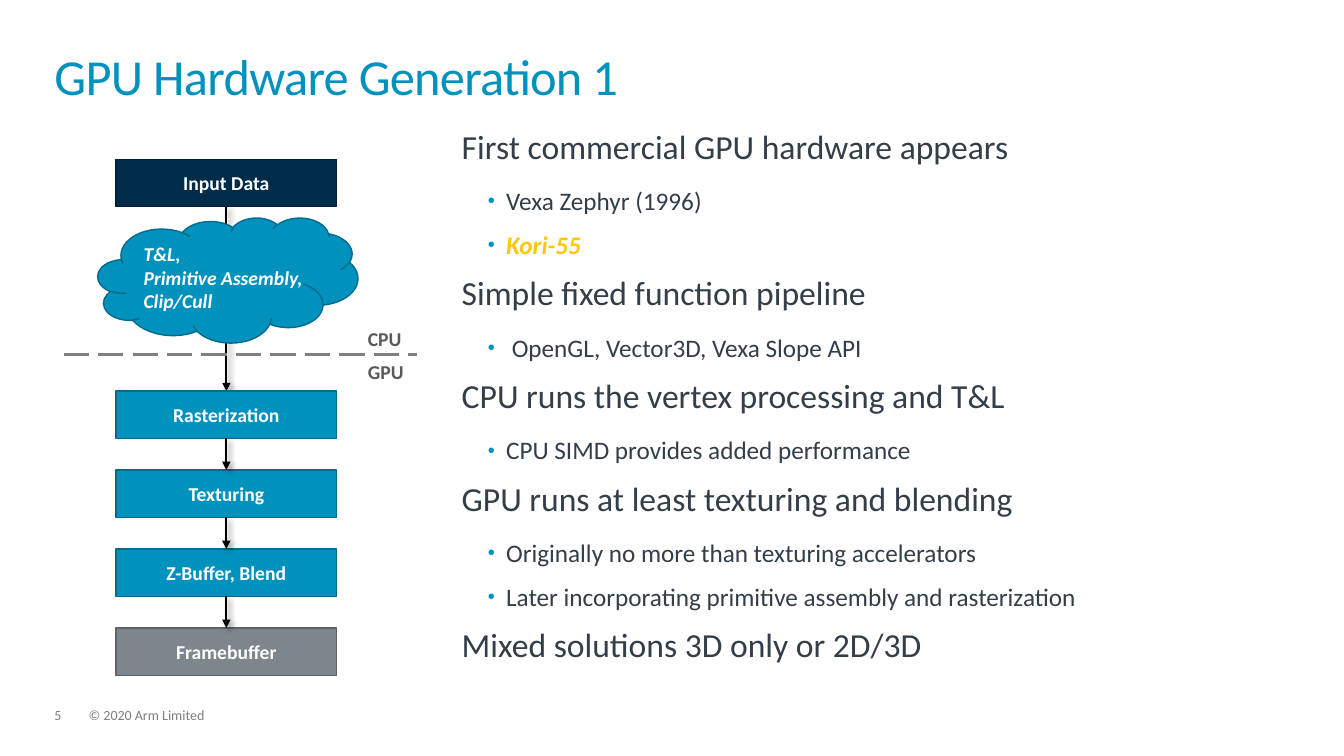
from dataclasses import dataclass

import pptx
import pptx.dml.color
import pptx.enum.dml
import pptx.enum.shapes
import pptx.enum.text
import pptx.oxml
import pptx.oxml.ns
import pptx.util
from pptx.util import Inches


@dataclass(frozen=True)
class Theme:
    font: str = "Calibri"
    blue: str = "0091BD"
    blue_edge: str = "006B8C"
    navy: str = "002B49"
    navy_edge: str = "002036"
    gray: str = "7D868C"
    gray_edge: str = "5C6368"
    body: str = "333E48"
    accent: str = "FFC700"
    footer: str = "7F7F7F"
    label: str = "595959"
    divider: str = "808080"
    white: str = "FFFFFF"
    black: str = "000000"
    title_size: int = 36
    topic_size: int = 24
    detail_size: int = 18
    diagram_size: int = 14
    footer_size: int = 10


THEME = Theme()
ANCHOR = pptx.enum.text.MSO_ANCHOR
SHAPE = pptx.enum.shapes.MSO_SHAPE
BOX_LEFT, BOX_WIDTH, BOX_HEIGHT = 1.15, 2.19, 0.47
FLOW_X = BOX_LEFT + BOX_WIDTH / 2
INPUT_TOP, FIRST_STAGE_TOP, LAST_STAGE_TOP = 1.58, 3.88, 6.23
STAGES = [
    ("Rasterization", THEME.blue, THEME.blue_edge),
    ("Texturing", THEME.blue, THEME.blue_edge),
    ("Z-Buffer, Blend", THEME.blue, THEME.blue_edge),
    ("Framebuffer", THEME.gray, THEME.gray_edge),
]
HIGHLIGHT = "Kori-55"
TOPICS = [
    ("First commercial GPU hardware appears", ["Vexa Zephyr (1996)", HIGHLIGHT]),
    ("Simple fixed function pipeline", [" OpenGL, Vector3D, Vexa Slope API"]),
    ("CPU runs the vertex processing and T&L", ["CPU SIMD provides added performance"]),
    ("GPU runs at least texturing and blending", [
        "Originally no more than texturing accelerators",
        "Later incorporating primitive assembly and rasterization",
    ]),
    ("Mixed solutions 3D only or 2D/3D", []),
]


def rgb(color):
    return pptx.dml.color.RGBColor.from_string(color)


def style_paragraph(paragraph, size, color, bold=False, italic=False):
    font = paragraph.font
    font.name = THEME.font
    font.size = pptx.util.Pt(size)
    font.color.rgb = rgb(color)
    font.bold = bold
    font.italic = italic


def remove_margins(frame):
    frame.margin_left = frame.margin_right = 0
    frame.margin_top = frame.margin_bottom = 0


def add_xml(parent, xml):
    namespace = pptx.oxml.ns.nsdecls("a")
    parent.append(pptx.oxml.parse_xml(xml.replace(" ns", f" {namespace}", 1)))


def add_title(slide, text):
    title = slide.shapes.title
    title.left, title.top = Inches(0.54), Inches(0.32)
    title.width, title.height = Inches(12.23), Inches(0.73)
    frame = title.text_frame
    frame.text = text
    frame.auto_size = pptx.enum.text.MSO_AUTO_SIZE.NONE
    frame.vertical_anchor = ANCHOR.BOTTOM
    remove_margins(frame)
    paragraph = frame.paragraphs[0]
    paragraph.alignment = pptx.enum.text.PP_ALIGN.LEFT
    paragraph.line_spacing = 0.85
    style_paragraph(paragraph, THEME.title_size, THEME.blue)
    paragraph.font._rPr.set("spc", "-50")


def add_footer(slide, left, width, text):
    box = slide.shapes.add_textbox(Inches(left), Inches(7.03), Inches(width), Inches(0.15))
    frame = box.text_frame
    frame.word_wrap = True
    frame.text = text
    remove_margins(frame)
    frame.paragraphs[0].line_spacing = 0.9
    style_paragraph(frame.paragraphs[0], THEME.footer_size, THEME.footer)


def add_label(slide, top, text):
    box = slide.shapes.add_textbox(Inches(3.55), Inches(top), Inches(0.6), Inches(0.34))
    frame = box.text_frame
    frame.word_wrap = True
    frame.text = text
    style_paragraph(frame.paragraphs[0], THEME.diagram_size, THEME.label, bold=True)


def add_node(slide, kind, bounds, text, fill, edge, italic=False):
    shape = slide.shapes.add_shape(kind, *(Inches(length) for length in bounds))
    shape.shadow.inherit = False
    shape.fill.solid()
    shape.fill.fore_color.rgb = rgb(fill)
    shape.line.color.rgb = rgb(edge)
    shape.line.width = pptx.util.Pt(1)
    frame = shape.text_frame
    frame.word_wrap = False
    frame.vertical_anchor = ANCHOR.MIDDLE
    frame.text = text
    paragraph = frame.paragraphs[0]
    alignment = pptx.enum.text.PP_ALIGN
    paragraph.alignment = alignment.LEFT if kind == SHAPE.CLOUD else alignment.CENTER
    style_paragraph(paragraph, THEME.diagram_size, THEME.white, bold=True, italic=italic)


def add_box(slide, top, text, fill, edge):
    bounds = (BOX_LEFT, top, BOX_WIDTH, BOX_HEIGHT)
    add_node(slide, SHAPE.RECTANGLE, bounds, text, fill, edge)


def add_line(slide, start, end, color, width):
    line = slide.shapes.add_connector(
        pptx.enum.shapes.MSO_CONNECTOR.STRAIGHT,
        *(Inches(length) for length in start + end),
    )
    line.line.color.rgb = rgb(color)
    line.line.width = pptx.util.Pt(width)
    return line


def add_flow_arrow(slide, top, bottom):
    arrow = add_line(slide, (FLOW_X, top), (FLOW_X, bottom), THEME.black, 1.5)
    add_xml(arrow.line._get_or_add_ln(), '<a:tailEnd ns type="triangle"/>')
    add_xml(
        arrow._element.spPr,
        '<a:effectLst ns><a:outerShdw blurRad="50800" dist="38100" dir="2700000">'
        f'<a:srgbClr val="{THEME.black}"><a:alpha val="40000"/></a:srgbClr>'
        '</a:outerShdw></a:effectLst>',
    )


def add_divider(slide):
    divider = add_line(slide, (0.63, 3.52), (4.14, 3.52), THEME.divider, 2.25)
    divider.line.dash_style = pptx.enum.dml.MSO_LINE.LONG_DASH
    add_xml(divider._element.spPr, '<a:effectLst ns/>')


def add_bullet(paragraph):
    properties = paragraph._p.get_or_add_pPr()
    properties.set("marL", str(Inches(0.44)))
    properties.set("indent", str(Inches(-0.18)))
    add_xml(properties, f'<a:buClr ns><a:srgbClr val="{THEME.blue}"/></a:buClr>')
    add_xml(properties, '<a:buSzPct ns val="80000"/>')
    add_xml(properties, '<a:buFont ns typeface="Arial"/>')
    add_xml(properties, '<a:buChar ns char="•"/>')


def add_topics(slide):
    box = slide.shapes.add_textbox(Inches(4.58), Inches(1.29), Inches(8.14), Inches(5.12))
    frame = box.text_frame
    frame.word_wrap = True
    remove_margins(frame)
    rows = [(text, detail) for topic, details in TOPICS
            for text, detail in [(topic, False)] + [(line, True) for line in details]]
    for index, (text, detail) in enumerate(rows):
        paragraph = frame.add_paragraph() if index else frame.paragraphs[0]
        paragraph.text = text
        paragraph.line_spacing = 0.9
        paragraph.space_after = pptx.util.Pt(12 if detail else 16)
        if detail:
            paragraph.level = 1
            add_bullet(paragraph)
        marked = text == HIGHLIGHT
        style_paragraph(paragraph, THEME.detail_size if detail else THEME.topic_size,
                        THEME.accent if marked else THEME.body, marked, marked)


def add_pipeline(slide):
    add_flow_arrow(slide, INPUT_TOP + BOX_HEIGHT, FIRST_STAGE_TOP)
    add_box(slide, INPUT_TOP, "Input Data", THEME.navy, THEME.navy_edge)
    add_node(slide, SHAPE.CLOUD, (0.97, 2.16, 2.58, 1.24),
             "T&L,\vPrimitive Assembly,\vClip/Cull", THEME.blue, THEME.blue_edge, italic=True)
    pitch = (LAST_STAGE_TOP - FIRST_STAGE_TOP) / (len(STAGES) - 1)
    for index, (text, fill, edge) in enumerate(STAGES):
        top = FIRST_STAGE_TOP + index * pitch
        add_box(slide, top, text, fill, edge)
        if index:
            add_flow_arrow(slide, top - pitch + BOX_HEIGHT, top)
    add_divider(slide)
    add_label(slide, 3.19, "CPU")
    add_label(slide, 3.52, "GPU")


def main():
    presentation = pptx.Presentation()
    presentation.slide_width, presentation.slide_height = Inches(13.33), Inches(7.5)
    slide = presentation.slides.add_slide(presentation.slide_layouts[5])
    add_title(slide, "GPU Hardware Generation 1")
    add_topics(slide)
    add_pipeline(slide)
    add_footer(slide, 0.54, 0.34, "5")
    add_footer(slide, 0.88, 9.13, "© 2020 Arm Limited")
    presentation.save("out.pptx")


if __name__ == "__main__":
    main()
